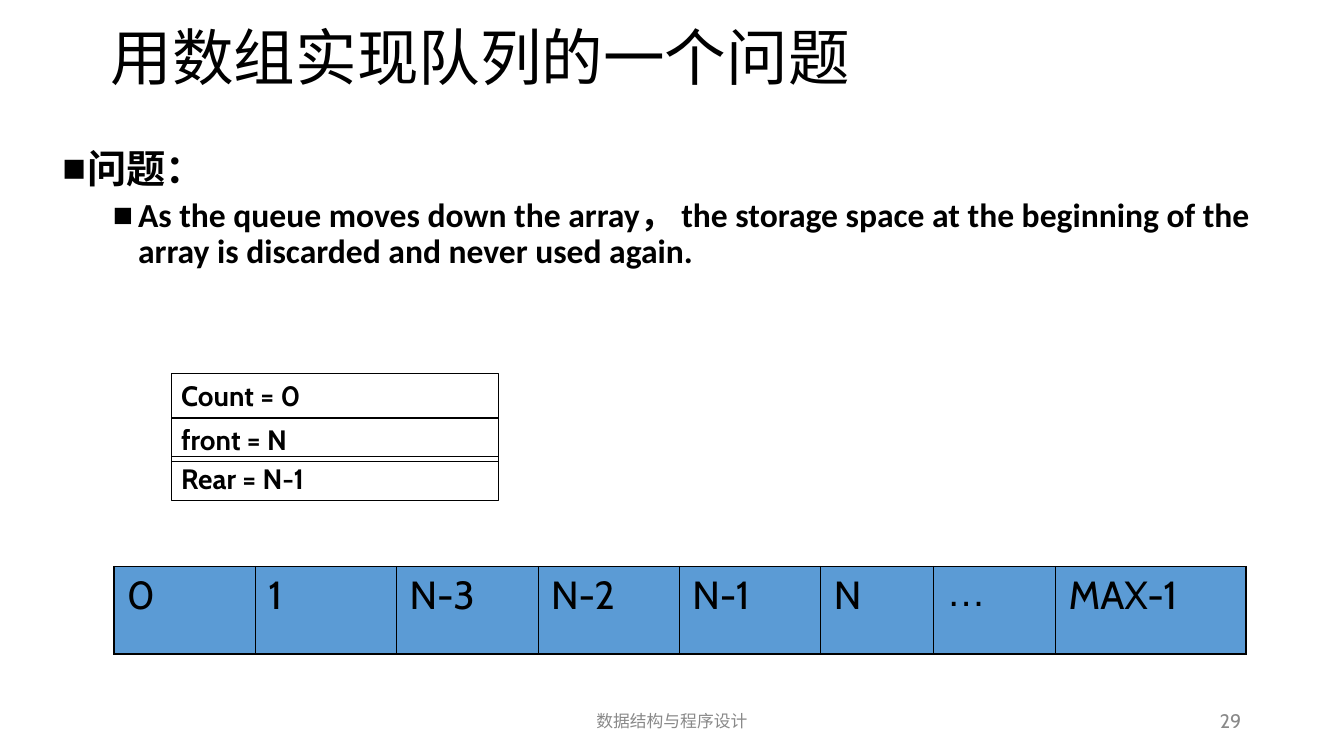
import pptx
import pptx.util
import pptx.dml.color
import pptx.enum.text
import pptx.oxml.ns
from lxml import etree

PP_ALIGN = pptx.enum.text.PP_ALIGN
ANCHOR = pptx.enum.text.MSO_ANCHOR
COLORS = {"ink": "000000", "paper": "FFFFFF", "cell": "5B9BD5", "muted": "898989"}


def rgb(name):
    return pptx.dml.color.RGBColor.from_string(COLORS[name])


def sub(parent, tag, **attrs):
    return etree.SubElement(parent, pptx.oxml.ns.qn(tag), attrs)


class Deck:
    """Holds the style and the current slide; lengths are percent of the slide."""

    def __init__(self, width, height):
        self.prs = pptx.Presentation()
        self.prs.slide_width = pptx.util.Inches(width)
        self.prs.slide_height = pptx.util.Inches(height)
        self.s = self.prs.slides.add_slide(self.prs.slide_layouts[1])

    def x(self, share):
        return round(self.prs.slide_width * share / 100)

    def y(self, share):
        return round(self.prs.slide_height * share / 100)

    def box(self, left, top, width, height):
        return self.x(left), self.y(top), self.x(width), self.y(height)

    def place(self, sp, *box):
        sp.left, sp.top, sp.width, sp.height = self.box(*box)

    def run(self, p, text, size, font="Cabin", color="ink", bold=False):
        r = p.add_run()
        r.text = text
        r.font.size = pptx.util.Pt(size)
        r.font.name = font
        r.font.bold = bold
        r.font.color.rgb = rgb(color)

    def title(self, text, *box):
        sp = self.s.shapes.title
        self.place(sp, *box)
        tf = sp.text_frame
        tf.auto_size = pptx.enum.text.MSO_AUTO_SIZE.NONE
        tf.vertical_anchor = ANCHOR.MIDDLE
        p = tf.paragraphs[0]
        p.alignment = PP_ALIGN.LEFT
        p.line_spacing = 0.9
        self.run(p, text, 44, "Calibri")

    def bullets(self, items, *box):
        sp = self.s.placeholders[1]
        self.place(sp, *box)
        sp.fill.solid()
        sp.fill.fore_color.rgb = rgb("paper")
        tf = sp.text_frame
        tf.auto_size = pptx.enum.text.MSO_AUTO_SIZE.NONE
        for i, (level, size, before, text) in enumerate(items):
            p = tf.add_paragraph() if i else tf.paragraphs[0]
            p.level = level
            p.line_spacing = 0.9
            p.space_before = pptx.util.Pt(before)
            pPr = p._p.get_or_add_pPr()
            pPr.set("marL", str(pptx.util.Inches(0.25 + 0.5 * level)))
            pPr.set("indent", str(pptx.util.Inches(-0.25)))
            sub(sub(pPr, "a:buClr"), "a:srgbClr", val=COLORS["ink"])
            sub(pPr, "a:buFont", typeface="Arial")
            sub(pPr, "a:buChar", char="■")
            self.run(p, text, size, "Calibri", bold=True)

    def text(self, text, size, *box, align=PP_ALIGN.LEFT, anchor=ANCHOR.MIDDLE,
             color="ink", bold=False, before=0, outline=False):
        sp = self.s.shapes.add_textbox(*self.box(*box))
        if outline:
            sp.line.color.rgb = rgb("ink")
            sp.line.width = pptx.util.Pt(0.75)
        tf = sp.text_frame
        tf.word_wrap = True
        tf.vertical_anchor = anchor
        p = tf.paragraphs[0]
        p.alignment = align
        p.space_before = pptx.util.Pt(before)
        self.run(p, text, size, color=color, bold=bold)

    def border(self, cell, side, width):
        ln = sub(cell._tc.get_or_add_tcPr(), "a:ln" + side, w=str(pptx.util.Pt(width)))
        sub(sub(ln, "a:solidFill"), "a:srgbClr", val=COLORS["ink"])

    def array(self, labels, widths, *box):
        table = self.s.shapes.add_table(1, len(labels), *self.box(*box)).table
        table.first_row = table.horz_banding = False
        last = len(labels) - 1
        for i, (label, width) in enumerate(zip(labels, widths)):
            table.columns[i].width = self.x(width)
            cell = table.cell(0, i)
            cell.margin_left = cell.margin_right = pptx.util.Inches(0.13)
            # Thin rules between cells, heavier ones around the array
            self.border(cell, "L", 0.45 if i else 1.08)
            self.border(cell, "R", 0.45 if i < last else 1.08)
            self.border(cell, "T", 1.08)
            self.border(cell, "B", 1.08)
            cell.fill.solid()
            cell.fill.fore_color.rgb = rgb("cell")
            p = cell.text_frame.paragraphs[0]
            p.space_before = pptx.util.Pt(7)
            self.run(p, label, 28, "Arial" if label == "…" else "Cabin")


def main():
    deck = Deck(13.34, 7.5)

    # Heading and problem statement
    deck.title("用数组实现队列的一个问题", 7.5, 0, 85.16, 16.13)
    deck.bullets([
        (0, 28, 10, "问题："),
        (1, 24, 5, "As the queue moves down the array， the storage space at the "
                   "beginning of the array is discarded and never used again."),
    ], 3.9, 19.07, 91.9, 37.87)

    # Queue variables
    for top, text in ((49.47, "Count = 0"), (55.2, "front = N"), (60.4, "Rear = N-1")):
        deck.text(text, 20, 12.74, top, 24.36, 5.87, anchor=ANCHOR.TOP,
                  bold=True, before=12.5, outline=True)

    # Array cells
    deck.array(["0", "1", "N-3", "N-2", "N-1", "N", "…", "MAX-1"],
               [10.52] * 5 + [8.4, 9.07, 14.17], 8.47, 74.93, 84.18, 11.6)

    # Footer and page number
    deck.text("数据结构与程序设计", 12, 33.13, 92.67, 33.73, 5.33,
              align=PP_ALIGN.CENTER, color="muted")
    deck.text("29", 14, 70.61, 92.67, 22.49, 5.33, align=PP_ALIGN.RIGHT, color="muted")

    deck.prs.save("out.pptx")


if __name__ == "__main__":
    main()
